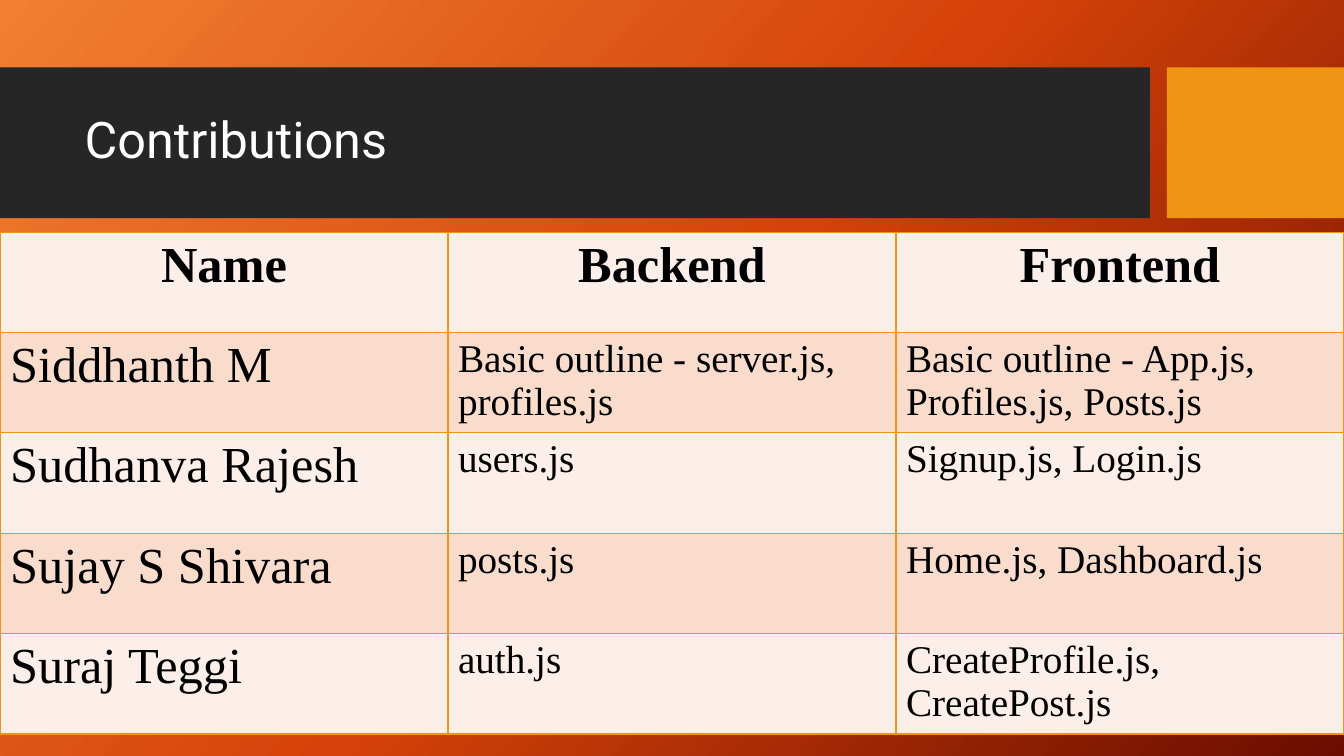
import copy
import pptx
import pptx.util
import pptx.dml.color
import pptx.enum.shapes
import pptx.enum.text
import pptx.oxml
import pptx.oxml.ns

Cm, Pt = pptx.util.Cm, pptx.util.Pt
align = pptx.enum.text.PP_ALIGN
qn = pptx.oxml.ns.qn


def paint(color, code):
    color.rgb = pptx.dml.color.RGBColor.from_string(code)


def write(para, text, size, font, code, bold=False):
    run = para.add_run()
    run.text = text
    run.font.size = Pt(size)
    run.font.name = font
    run.font.bold = bold
    paint(run.font.color, code)


deck = pptx.Presentation()
deck.slide_width, deck.slide_height = Cm(33.87), Cm(19.05)
slide = deck.slides.add_slide(deck.slide_layouts[5])
shapes = slide.shapes

back = slide.background.fill
back.gradient()
back.gradient_angle = 318
first = next(slide.element.iter(qn("a:gs")))
first.addnext(copy.deepcopy(first))
stops = [(0, "F18031"), (0.5, "D54209"), (1, "6A0D00")]
for stop, (place, code) in zip(back.gradient_stops, stops):
    stop.position = place
    paint(stop.color, code)

for left, width, code in [(0, 28.98, "262626"), (29.41, 4.46, "F09415")]:
    bar = shapes.add_shape(pptx.enum.shapes.MSO_SHAPE.RECTANGLE,
                           Cm(left), Cm(1.7), Cm(width), Cm(3.8))
    bar.shadow.inherit = False
    bar.fill.solid()
    paint(bar.fill.fore_color, code)
    bar.line.fill.background()

title = shapes.title
bar.element.addnext(title.element)
title.left, title.top = Cm(1.88), Cm(2.08)
title.width, title.height = Cm(26.7), Cm(3)
frame = title.text_frame
frame.word_wrap = True
frame.auto_size = pptx.enum.text.MSO_AUTO_SIZE.NONE
frame.vertical_anchor = pptx.enum.text.MSO_ANCHOR.MIDDLE
para = frame.paragraphs[0]
para.alignment = align.LEFT
para.line_spacing = 0.9
write(para, "Contributions", 36, "Roboto", "FFFFFF")

rows = [
    ("Name", "Backend", "Frontend"),
    ("Siddhanth M", "Basic outline - server.js, profiles.js",
     "Basic outline - App.js,\nProfiles.js, Posts.js"),
    ("Sudhanva Rajesh", "users.js", "Signup.js, Login.js"),
    ("Sujay S Shivara", "posts.js", "Home.js, Dashboard.js"),
    ("Suraj Teggi", "auth.js", "CreateProfile.js,\nCreatePost.js"),
]
table = shapes.add_table(5, 3, 0, Cm(5.85), Cm(33.87), Cm(12.65)).table
edge = ('<a:{} xmlns:a="http://schemas.openxmlformats.org/drawingml/2006/main" '
        'w="12700"><a:solidFill><a:srgbClr val="F09415"/></a:solidFill></a:{}>')
for r, row in enumerate(rows):
    table.rows[r].height = Cm(2.53)
    for c, text in enumerate(row):
        cell = table.cell(r, c)
        cell.fill.solid()
        paint(cell.fill.fore_color, "F9DCCC" if r % 2 else "FCEEE8")
        for i, side in enumerate(("lnL", "lnR", "lnT", "lnB")):
            line = pptx.oxml.parse_xml(edge.format(side, side))
            cell._tc.get_or_add_tcPr().insert(i, line)
        frame = cell.text_frame
        for i, part in enumerate(text.split("\n")):
            para = frame.add_paragraph() if i else frame.paragraphs[0]
            para.alignment = align.LEFT if r else align.CENTER
            size = 28 if r and c else 36
            write(para, part, size, "Times New Roman", "000000", r == 0)

deck.save("out.pptx")
